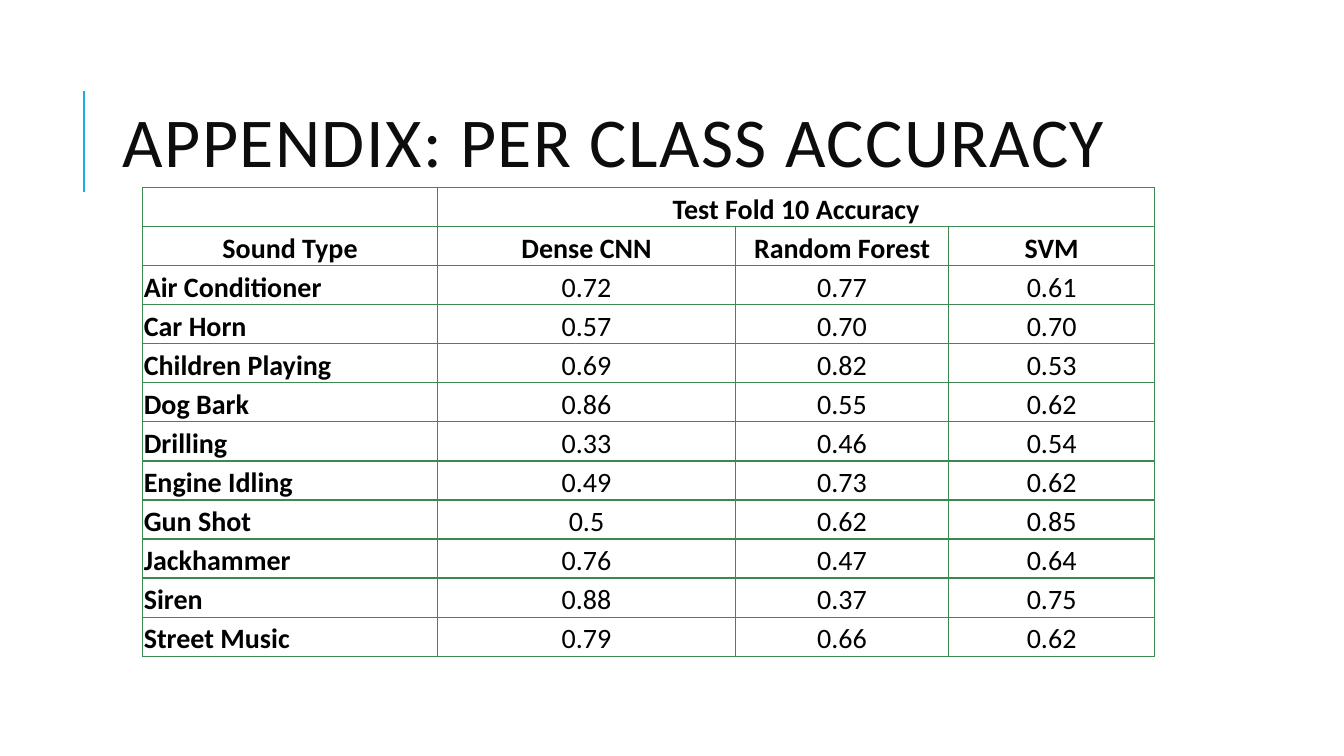
from lxml.etree import SubElement
from pptx import Presentation
from pptx.dml.color import RGBColor
from pptx.enum.shapes import MSO_CONNECTOR
from pptx.enum.text import MSO_ANCHOR, PP_ALIGN
from pptx.oxml import parse_xml
from pptx.oxml.ns import nsdecls, qn
from pptx.util import Pt

COLORS = {"accent": "1CADE4", "title": "0D0D0D", "text": "000000", "border": "3E8853"}
FONT = "Calibri"
COLUMN_WIDTHS = [210.5, 213, 152, 147.5]
ROWS = [
    ["", "Test Fold 10 Accuracy", "", ""],
    ["Sound Type", "Dense CNN", "Random Forest", "SVM"],
    ["Air Conditioner", "0.72", "0.77", "0.61"],
    ["Car Horn", "0.57", "0.70", "0.70"],
    ["Children Playing", "0.69", "0.82", "0.53"],
    ["Dog Bark", "0.86", "0.55", "0.62"],
    ["Drilling", "0.33", "0.46", "0.54"],
    ["Engine Idling", "0.49", "0.73", "0.62"],
    ["Gun Shot", "0.5", "0.62", "0.85"],
    ["Jackhammer", "0.76", "0.47", "0.64"],
    ["Siren", "0.88", "0.37", "0.75"],
    ["Street Music", "0.79", "0.66", "0.62"],
]
HEADER_ROWS = 2


def style_font(font, size, color, bold=False):
    """Apply the slide font with a size, colour and weight."""
    font.name = FONT
    font.size = Pt(size)
    font.bold = bold
    font.color.rgb = RGBColor.from_string(COLORS[color])


def add_title(s, text, x, y, w, h):
    """Place the title in its box, with the accent rule to its left."""
    sp = s.shapes.title
    sp.left, sp.top, sp.width, sp.height = Pt(x), Pt(y), Pt(w), Pt(h)
    tf = sp.text_frame
    tf.text = text
    tf.word_wrap = True
    tf.vertical_anchor = MSO_ANCHOR.MIDDLE
    p = tf.paragraphs[0]
    p.alignment = PP_ALIGN.LEFT
    p.line_spacing = 0.8
    r = p.runs[0]
    style_font(r.font, 50, "title")
    r.font._element.set("spc", "100")

    rule_x = Pt(x - 20.6)
    rule = s.shapes.add_connector(
        MSO_CONNECTOR.STRAIGHT, rule_x, Pt(y + 90.8), rule_x, Pt(y + 18.8)
    )
    rule.line.color.rgb = RGBColor.from_string(COLORS["accent"])
    rule.line.width = Pt(1.5)
    SubElement(rule._element.spPr, qn("a:effectLst"))


def add_borders(cell):
    """Draw a thin border on all four sides of a cell."""
    tc_pr = cell._tc.get_or_add_tcPr()
    for i, side in enumerate(("lnL", "lnR", "lnT", "lnB")):
        tc_pr.insert(i, parse_xml(
            f'<a:{side} {nsdecls("a")} w="{Pt(1)}"><a:solidFill>'
            f'<a:srgbClr val="{COLORS["border"]}"/></a:solidFill></a:{side}>'
        ))


def fill_cell(cell, text, bold, align):
    """Write and format one table cell."""
    cell.fill.background()
    add_borders(cell)
    cell.margin_left = cell.margin_right = cell.margin_top = Pt(0.75)
    cell.margin_bottom = 0
    cell.vertical_anchor = MSO_ANCHOR.BOTTOM
    p = cell.text_frame.paragraphs[0]
    p.text = text
    p.alignment = align
    style_font(p.font, 20, "text", bold)
    for r in p.runs:
        style_font(r.font, 20, "text", bold)


def add_accuracy_table(s, x, y, h):
    """Build the per-class accuracy table with equal row heights."""
    table = s.shapes.add_table(
        len(ROWS), len(COLUMN_WIDTHS), Pt(x), Pt(y), Pt(sum(COLUMN_WIDTHS)), Pt(h)
    ).table
    table.first_row = table.horz_banding = False
    for column, width in zip(table.columns, COLUMN_WIDTHS):
        column.width = Pt(width)
    for i, row in enumerate(ROWS):
        table.rows[i].height = Pt(h / len(ROWS))
        for j, text in enumerate(row):
            header = i < HEADER_ROWS
            align = PP_ALIGN.CENTER if header or j else PP_ALIGN.LEFT
            fill_cell(table.cell(i, j), text, header or j == 0, align)
    table.cell(0, 1).merge(table.cell(0, len(COLUMN_WIDTHS) - 1))


def main():
    """Create and save the appendix slide."""
    prs = Presentation()
    prs.slide_width, prs.slide_height = Pt(960), Pt(540)
    s = prs.slides.add_slide(prs.slide_layouts[5])
    add_title(s, "APPENDIX: PER CLASS ACCURACY", 80.6, 46, 765.4, 118)
    add_accuracy_table(s, 102, 134, 334.8)
    prs.save("out.pptx")


if __name__ == "__main__":
    main()
